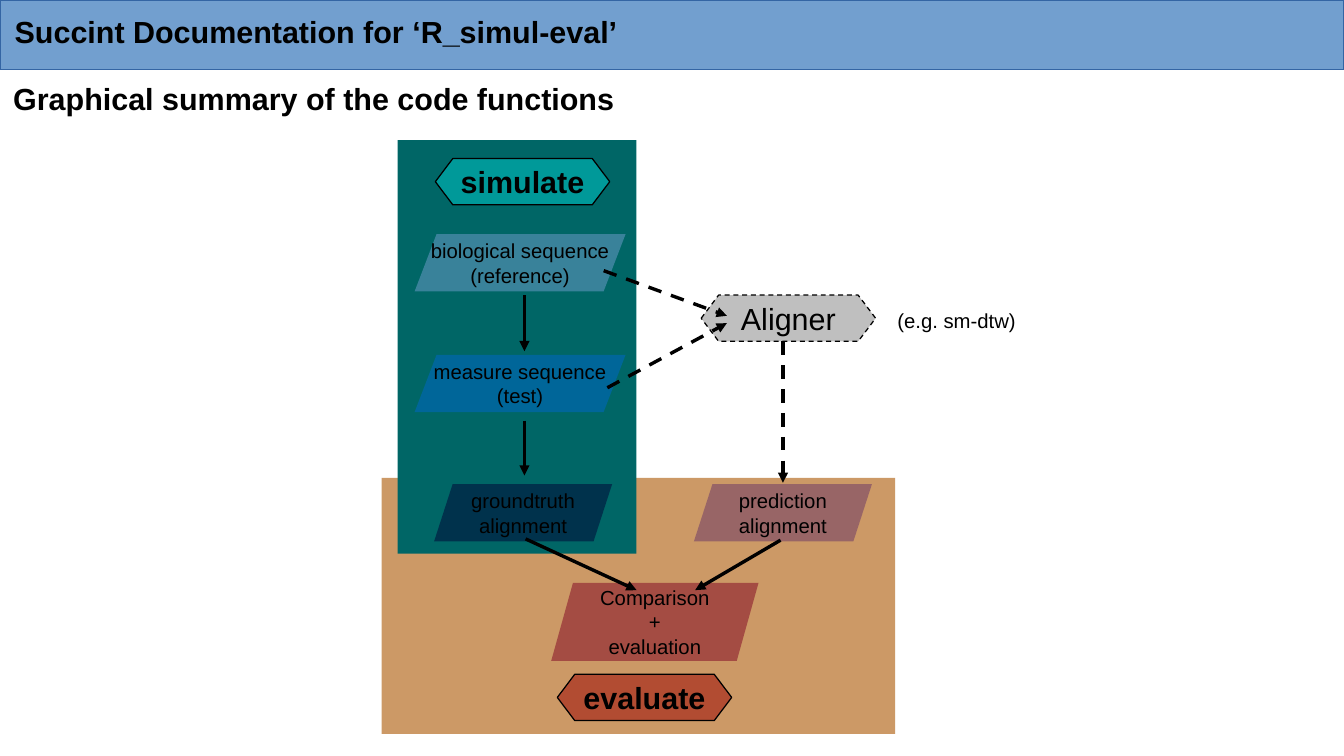
"""Build the graphical summary slide of the R_simul-eval code functions."""
from lxml import etree
from pptx import Presentation
from pptx.dml.color import RGBColor
from pptx.enum.dml import MSO_LINE
from pptx.enum.shapes import MSO_CONNECTOR, MSO_SHAPE
from pptx.enum.text import MSO_ANCHOR, MSO_AUTO_SIZE, PP_ALIGN
from pptx.oxml.ns import qn
from pptx.util import Inches, Pt

RECT, HEX, PARA = MSO_SHAPE.RECTANGLE, MSO_SHAPE.HEXAGON, MSO_SHAPE.PARALLELOGRAM
DASH, STRAIGHT = MSO_LINE.DASH, MSO_CONNECTOR.STRAIGHT
LEFT, CENTER = PP_ALIGN.LEFT, PP_ALIGN.CENTER
MIDDLE, NO_FIT = MSO_ANCHOR.MIDDLE, MSO_AUTO_SIZE.NONE
rgb = RGBColor.from_string


def write(sp, text, size, bold, align, wrap):
    tf = sp.text_frame
    tf.text = text
    frame = {"word_wrap": wrap, "auto_size": NO_FIT, "vertical_anchor": MIDDLE,
             "margin_left": Inches(0.1), "margin_right": Inches(0.1),
             "margin_top": Inches(0.05), "margin_bottom": Inches(0.05)}
    for name, value in frame.items():
        setattr(tf, name, value)
    for p in tf.paragraphs:
        p.alignment = align
        p.font.color.rgb = rgb("000000")
        for name, value in {"name": "Arial", "size": Pt(size), "bold": bold}.items():
            setattr(p.font, name, value)


def draw(kind, box, fill, line=None):
    sp = s.shapes.add_shape(kind, *map(Inches, box))
    sp.shadow.inherit = False
    sp.fill.solid()
    sp.fill.fore_color.rgb = rgb(fill)
    if line:
        sp.line.color.rgb = rgb(line)
        sp.line.width = 0
    else:
        sp.line.fill.background()
    return sp


prs = Presentation()
prs.slide_width, prs.slide_height = Inches(11.02), Inches(6.2)
s = prs.slides.add_slide(prs.slide_layouts[5])

panels = [
    ((0, 0, 11.02, 0.57), "729FCF", "3465A4"),
    ((3.13, 3.92, 4.21, 2.1), "CC9966", None),
    ((3.26, 1.15, 1.96, 3.39), "006666", None),
]
for box, fill, line in panels:
    draw(RECT, box, fill, line)

title = s.shapes.title
title.left, title.top, title.width, title.height = map(Inches, (0.02, 0.07, 5.5, 0.38))
write(title, "Succint Documentation for ‘R_simul-eval’", 18, True, LEFT, True)
s.shapes._spTree.append(title._element)

notes = [
    ("Graphical summary of the code functions", (0.01, 0.62, 5.56, 0.38), 18, True),
    ("(e.g. sm-dtw)", (7.26, 2.48, 1.17, 0.29), 12, False),
]
for text, box, size, bold in notes:
    write(s.shapes.add_textbox(*map(Inches, box)), text, size, bold, LEFT, True)

nodes = [
    ("simulate", HEX, (3.57, 1.3, 1.43, 0.38), 0.377, "00CCCC"),
    ("Aligner", HEX, (5.75, 2.42, 1.43, 0.38), 0.377, "808080"),
    ("evaluate", HEX, (4.57, 5.53, 1.43, 0.38), 0.377, "990000"),
    ("biological sequence\n(reference)", PARA, (3.4, 1.92, 1.73, 0.47), 0.383, "729FCF"),
    ("measure sequence\n(test)", PARA, (3.4, 2.91, 1.73, 0.47), 0.383, "0066CC"),
    ("groundtruth alignment", PARA, (3.56, 3.97, 1.46, 0.47), 0.324, "000033"),
    ("prediction alignment", PARA, (5.69, 3.97, 1.46, 0.47), 0.324, "663366"),
    ("Comparison\n+\nevaluation", PARA, (4.52, 4.78, 1.7, 0.64), 0.279, "7E0021"),
]
for text, kind, box, adj, fill in nodes:
    step = kind == HEX
    sp = draw(kind, box, fill, "000000" if step else None)
    sp.adjustments[0] = adj
    color = sp._element.spPr.find(qn("a:solidFill")).find(qn("a:srgbClr"))
    etree.SubElement(color, qn("a:alpha"), val="50000")
    if text == "Aligner":
        sp.line.dash_style = DASH
    write(sp, text, 18 if step else 12, step and text != "Aligner", CENTER,
          text.endswith(" alignment"))

arrows = [
    ((4.3, 2.42, 4.3, 2.88), False),
    ((4.3, 3.45, 4.3, 3.9), False),
    ((4.31, 4.42, 5.22, 4.84), False),
    ((6.4, 4.43, 5.7, 4.84), False),
    ((6.42, 2.8, 6.42, 3.96), True),
    ((4.95, 2.22, 5.96, 2.59), True),
    ((4.98, 3.18, 5.96, 2.65), True),
]
for ends, dashed in arrows:
    c = s.shapes.add_connector(STRAIGHT, *map(Inches, ends))
    c.line.color.rgb = rgb("000000")
    c.line.width = 0
    if dashed:
        c.line.dash_style = DASH
    etree.SubElement(c.line._get_or_add_ln(), qn("a:tailEnd"), type="triangle")
    etree.SubElement(c._element.spPr, qn("a:effectLst"))

prs.save("out.pptx")
